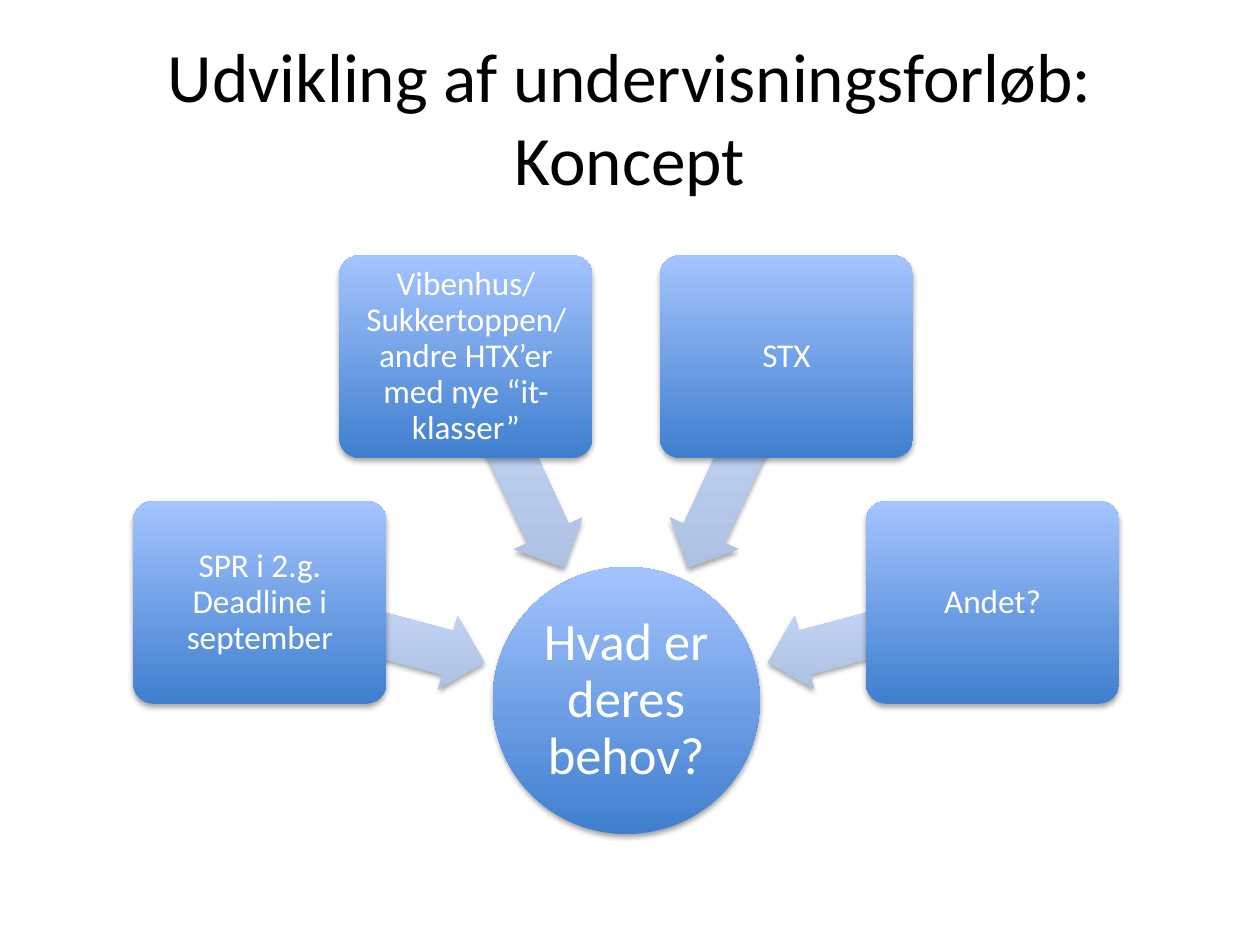
from math import cos, radians, sin
from lxml import etree
from pptx import Presentation
from pptx.dml.color import RGBColor
from pptx.enum import shapes, text
from pptx.oxml.ns import qn
from pptx.util import Inches, Pt

TITLE = "Udvikling af undervisningsforløb: Koncept"
QUESTION = "Hvad er deres behov?"
AUDIENCES = [
    (195, "SPR i 2.g. Deadline i september"),
    (245, "Vibenhus/Sukkertoppen/andre HTX’er med nye “it-klasser”"),
    (295, "STX"),
    (345, "Andet?"),
]
BLACK = RGBColor(0x00, 0x00, 0x00)
WHITE = RGBColor(0xFF, 0xFF, 0xFF)
NODE_FILL = (RGBColor(0x3F, 0x7F, 0xCE), RGBColor(0xA4, 0xC4, 0xFF))
ARROW_FILL = (RGBColor(0xAD, 0xBF, 0xE1), RGBColor(0xCC, 0xDD, 0xFF))
HUB = (4.97, 5.56)
ARROW_RADIUS, BOX_RADIUS = 2.09, 3.01
SHADOW = {"blurRad": Pt(3.1), "dist": Pt(1.8), "dir": 5400000, "rotWithShape": 0}

deck = Presentation()
deck.slide_width, deck.slide_height = Inches(10), Inches(7.5)
slide = deck.slides.add_slide(deck.slide_layouts[6])


def write(holder, words, size, color, inset=None, paragraph_format=None):
    frame = holder.text_frame
    frame.word_wrap = True
    frame.vertical_anchor = text.MSO_ANCHOR.MIDDLE
    if inset is not None:
        for side in ("left", "top", "right", "bottom"):
            setattr(frame, "margin_" + side, Inches(inset))
    paragraph = frame.paragraphs[0]
    paragraph.alignment = text.PP_ALIGN.CENTER
    for key, value in (paragraph_format or {}).items():
        setattr(paragraph, key, value)
    run = paragraph.add_run()
    run.text = words
    for key, value in {"name": "Calibri", "size": Pt(size)}.items():
        setattr(run.font, key, value)
    run.font.color.rgb = color


def add_part(kind, center, size, colors, adjustments=(), rotation=0):
    left, top = (c - s / 2 for c, s in zip(center, size))
    part = slide.shapes.add_shape(kind, *map(Inches, (left, top, *size)))
    part.rotation = rotation
    for index, value in enumerate(adjustments):
        part.adjustments[index] = value
    part.fill.gradient()
    part.fill.gradient_angle = 90
    for stop, color, position in zip(part.fill.gradient_stops, colors, (0, 1)):
        stop.color.rgb = color
        stop.position = position
    part.line.fill.background()
    part.shadow.inherit = False
    properties = part.element.spPr
    properties.find(qn("a:gradFill")).set("rotWithShape", "0")
    shadow = etree.SubElement(properties.find(qn("a:effectLst")), qn("a:outerShdw"))
    for key, value in SHADOW.items():
        shadow.set(key, str(value))
    black = etree.SubElement(shadow, qn("a:srgbClr"), val="000000")
    etree.SubElement(black, qn("a:alpha"), val="35000")
    return part


def around_hub(angle, radius):
    turn = radians(angle)
    return HUB[0] + radius * cos(turn), HUB[1] + radius * sin(turn)


title = slide.shapes.add_textbox(*map(Inches, (0.5, 0.3, 9, 1.25)))
write(title, TITLE, 39.6, BLACK)

node_format = {"line_spacing": 0.9}
hub = add_part(shapes.MSO_SHAPE.OVAL, HUB, (2.12, 2.12), NODE_FILL)
write(hub, QUESTION, 30, WHITE, 0.02, node_format)

for angle, audience in AUDIENCES:
    add_part(shapes.MSO_SHAPE.LEFT_ARROW, around_hub(angle, ARROW_RADIUS),
             (1.85, 0.6), ARROW_FILL, (0.6, 0.5), angle)
    box = add_part(shapes.MSO_SHAPE.ROUNDED_RECTANGLE, around_hub(angle, BOX_RADIUS),
                   (2.01, 1.61), NODE_FILL, (0.1,))
    write(box, audience, 19, WHITE, 0.04, node_format)

deck.save("out.pptx")
